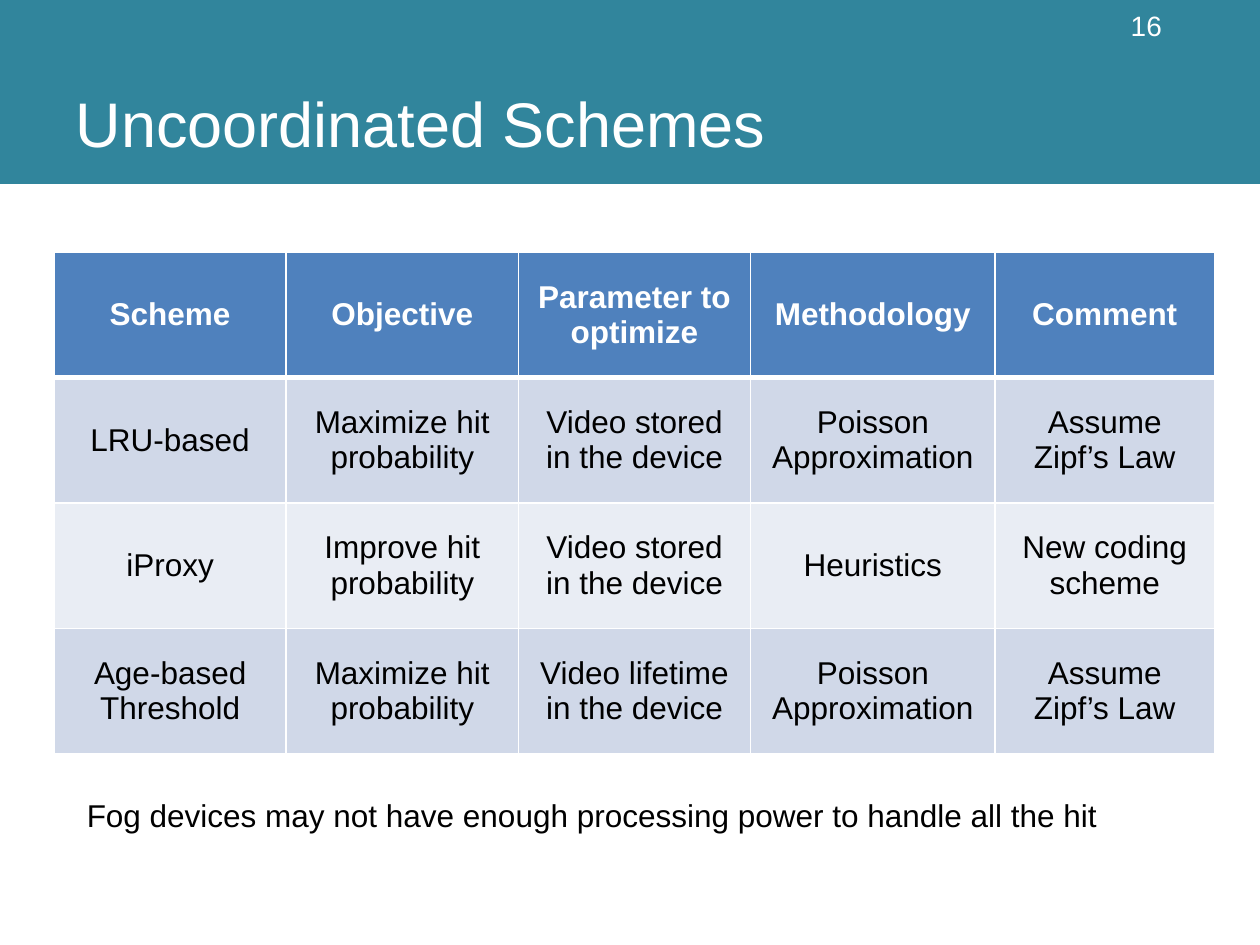
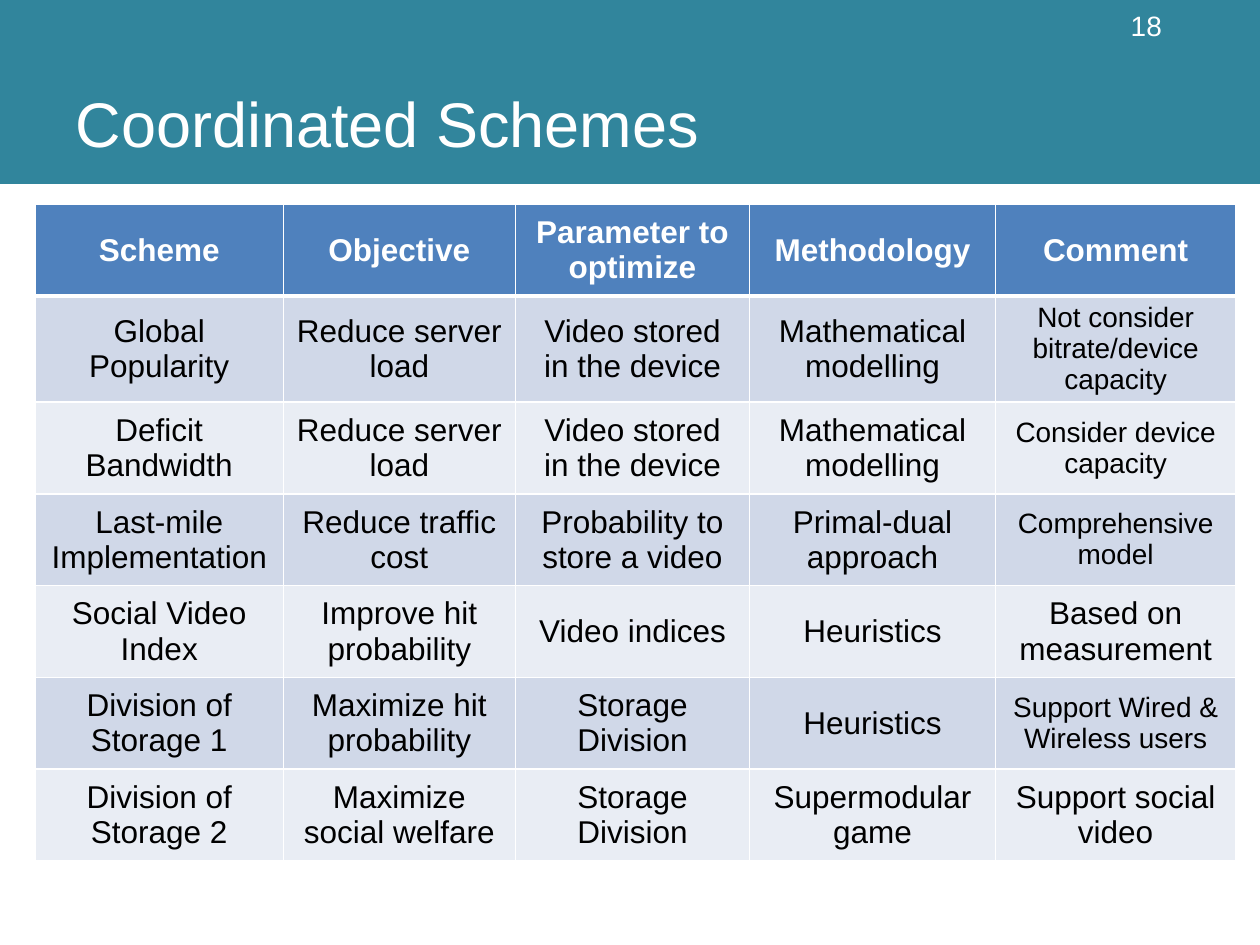
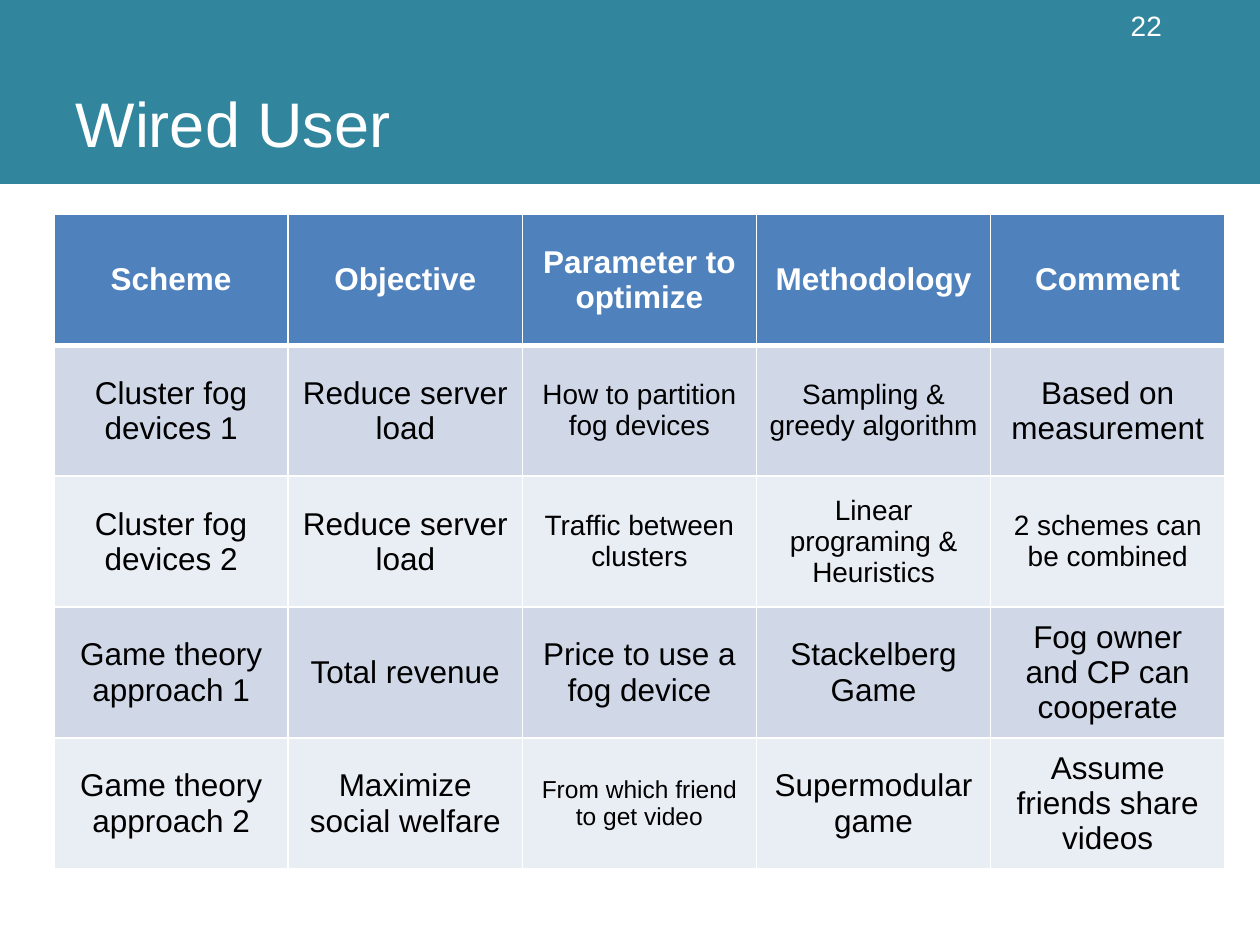
"""Build three slides that compare video caching schemes in tables."""
from dataclasses import dataclass

from lxml.etree import SubElement
from pptx import Presentation
from pptx.dml.color import RGBColor
from pptx.enum.shapes import MSO_SHAPE as Shape
from pptx.enum.text import MSO_ANCHOR as Anchor
from pptx.enum.text import MSO_AUTO_SIZE as AutoSize
from pptx.enum.text import PP_ALIGN as Align
from pptx.oxml.ns import qn
from pptx.slide import Slide
from pptx.table import _Cell as TableCell
from pptx.text.text import TextFrame
from pptx.util import Cm, Pt


@dataclass(frozen=True)
class Theme:
    """Colours, font and type sizes of the deck."""
    band: str = "31859C"
    header: str = "4F81BD"
    odd_row: str = "D0D8E8"
    even_row: str = "E9EDF4"
    light: str = "FFFFFF"
    dark: str = "000000"
    font: str = "Arial"
    title_size: int = 36
    body_size: int = 18
    small_size: int = 16
    tiny_size: int = 14
    border: int = 1
    header_border: int = 3


THEME = Theme()


@dataclass(frozen=True)
class Box:
    """Position and size in centimetres."""
    left: float
    top: float
    width: float
    height: float

    def lengths(self) -> tuple[Cm, Cm, Cm, Cm]:
        """Return the four measures as lengths."""
        return Cm(self.left), Cm(self.top), Cm(self.width), Cm(self.height)


@dataclass(frozen=True)
class Entry:
    """Text of a table cell and its type size."""
    text: str
    size: int = THEME.small_size


@dataclass(frozen=True)
class SchemeSlide:
    """One slide with a table of schemes and an optional remark."""
    title: str
    number: int
    left: float
    top: float
    column_widths: tuple[float, ...]
    row_height: float
    rows: list[tuple[str | Entry, ...]]
    remark: str = ""


BAND_BOX = Box(0, 0, 25.4, 3.71)
TITLE_BOX = Box(1.27, 0, 22.4, 3.35)
NUMBER_BOX = Box(16.84, 0, 6.83, 1.02)
REMARK_BOX = Box(1.5, 15.93, 22.8, 1.02)

HEADINGS = ("Scheme", "Objective", "Parameter to optimize", "Methodology", "Comment")

SLIDES = [
    SchemeSlide(
        "Uncoordinated Schemes", 16, 1.09, 5.08, (4.68, 4.68, 4.68, 4.93, 4.42), 2.53,
        [
            ("LRU-based", "Maximize hit probability", "Video stored in the device",
             "Poisson Approximation", "Assume Zipf’s Law"),
            ("iProxy", "Improve hit probability", "Video stored in the device",
             "Heuristics", "New coding scheme"),
            ("Age-based\nThreshold", "Maximize hit probability",
             "Video lifetime in the device", "Poisson Approximation", "Assume Zipf’s Law"),
        ],
        "Fog devices may not have enough processing power to handle all the hit",
    ),
    SchemeSlide(
        "Coordinated Schemes", 18, 0.71, 4.12, (5, 4.68, 4.72, 4.96, 4.84), 1.85,
        [
            ("Global Popularity", "Reduce server load", "Video stored in the device",
             "Mathematical modelling", Entry("Not consider bitrate/device capacity")),
            ("Deficit Bandwidth", "Reduce server load", "Video stored in the device",
             "Mathematical modelling", Entry("Consider device capacity")),
            ("Last-mile\nImplementation", "Reduce traffic cost", "Probability to store a video",
             "Primal-dual\napproach", Entry("Comprehensive model")),
            ("Social Video Index", "Improve hit probability", "Video indices",
             "Heuristics", "Based on measurement"),
            ("Division of Storage 1", "Maximize hit probability", "Storage Division",
             "Heuristics", Entry("Support Wired & Wireless users")),
            ("Division of Storage 2", "Maximize social welfare", "Storage Division",
             "Supermodular\ngame", "Support social video"),
        ],
    ),
    SchemeSlide(
        "Wired User", 22, 1.09, 4.32, (4.72,) * 5, 2.64,
        [
            ("Cluster fog devices 1", "Reduce server load", Entry("How to partition fog devices"),
             Entry("Sampling & greedy algorithm"), "Based on measurement"),
            ("Cluster fog devices 2", "Reduce server load", Entry("Traffic between clusters"),
             Entry("Linear programing & Heuristics"), Entry("2 schemes can be combined")),
            ("Game theory approach 1", "Total revenue", "Price to use a fog device",
             "Stackelberg Game", "Fog owner and CP can cooperate"),
            ("Game theory approach 2", "Maximize social welfare",
             Entry("From which friend to get video", THEME.tiny_size),
             "Supermodular\ngame", "Assume friends share videos"),
        ],
    ),
]


def write_text(frame: TextFrame, text: str, size: int, color: str,
               align: Align = Align.LEFT, bold: bool = False) -> None:
    """Set the text of a frame and format its runs."""
    frame.text = text
    frame.word_wrap = True
    for paragraph in frame.paragraphs:
        paragraph.alignment = align
        for run in paragraph.runs:
            run.font.name = THEME.font
            run.font.size = Pt(size)
            run.font.bold = bold
            run.font.color.rgb = RGBColor.from_string(color)


def add_band(slide: Slide) -> None:
    """Put the title band on the layout that the slides share."""
    band = slide.shapes.add_shape(Shape.RECTANGLE, *BAND_BOX.lengths())
    band.shadow.inherit = False
    band.fill.solid()
    band.fill.fore_color.rgb = RGBColor.from_string(THEME.band)
    band.line.fill.background()
    slide.slide_layout.shapes.element.insert(2, band.element)


def set_title(slide: Slide, text: str) -> None:
    """Place and fill the title placeholder."""
    title = slide.shapes.title
    title.left, title.top, title.width, title.height = TITLE_BOX.lengths()
    frame = title.text_frame
    write_text(frame, text, THEME.title_size, THEME.light)
    frame.auto_size = AutoSize.NONE
    frame.vertical_anchor = Anchor.BOTTOM


def add_text(slide: Slide, box: Box, text: str, size: int, color: str,
             align: Align = Align.LEFT, anchor: Anchor = Anchor.TOP) -> None:
    """Add a wrapping text box."""
    frame = slide.shapes.add_textbox(*box.lengths()).text_frame
    write_text(frame, text, size, color, align)
    frame.vertical_anchor = anchor


def set_borders(cell: TableCell, row_index: int) -> None:
    """Draw the cell borders, with a thick line under the header row."""
    properties = cell._tc.get_or_add_tcPr()
    thick_side = {0: "lnB", 1: "lnT"}.get(row_index)
    for side in ("lnL", "lnR", "lnT", "lnB"):
        width = THEME.header_border if side == thick_side else THEME.border
        line = SubElement(properties, qn(f"a:{side}"), w=str(Pt(width)))
        fill = SubElement(line, qn("a:solidFill"))
        SubElement(fill, qn("a:srgbClr"), val=THEME.light)


def fill_cell(cell: TableCell, entry: str | Entry, row_index: int) -> None:
    """Write and format one cell according to its row."""
    if isinstance(entry, str):
        entry = Entry(entry, THEME.body_size)
    is_header = row_index == 0
    banding = THEME.odd_row if row_index % 2 else THEME.even_row
    set_borders(cell, row_index)
    cell.fill.solid()
    cell.fill.fore_color.rgb = RGBColor.from_string(THEME.header if is_header else banding)
    cell.vertical_anchor = Anchor.MIDDLE
    write_text(cell.text_frame, entry.text, entry.size,
               THEME.light if is_header else THEME.dark, Align.CENTER, is_header)


def add_scheme_table(slide: Slide, content: SchemeSlide) -> None:
    """Add the table of schemes under its headings."""
    rows = [HEADINGS, *content.rows]
    box = Box(content.left, content.top, sum(content.column_widths),
              content.row_height * len(rows))
    table = slide.shapes.add_table(len(rows), len(HEADINGS), *box.lengths()).table
    for column, width in zip(table.columns, content.column_widths):
        column.width = Cm(width)
    for row_index, entries in enumerate(rows):
        table.rows[row_index].height = Cm(content.row_height)
        for column_index, entry in enumerate(entries):
            fill_cell(table.cell(row_index, column_index), entry, row_index)


def main() -> None:
    """Build and save the presentation."""
    presentation = Presentation()
    presentation.slide_width, presentation.slide_height = Cm(25.4), Cm(19.05)
    layout = presentation.slide_layouts.get_by_name("Title Only")
    for index, content in enumerate(SLIDES):
        slide = presentation.slides.add_slide(layout)
        if index == 0:
            add_band(slide)
        set_title(slide, content.title)
        add_scheme_table(slide, content)
        add_text(slide, NUMBER_BOX, str(content.number), THEME.small_size, THEME.light,
                 Align.RIGHT, Anchor.MIDDLE)
        if content.remark:
            add_text(slide, REMARK_BOX, content.remark, THEME.body_size, THEME.dark)
    presentation.save("out.pptx")


if __name__ == "__main__":
    main()
